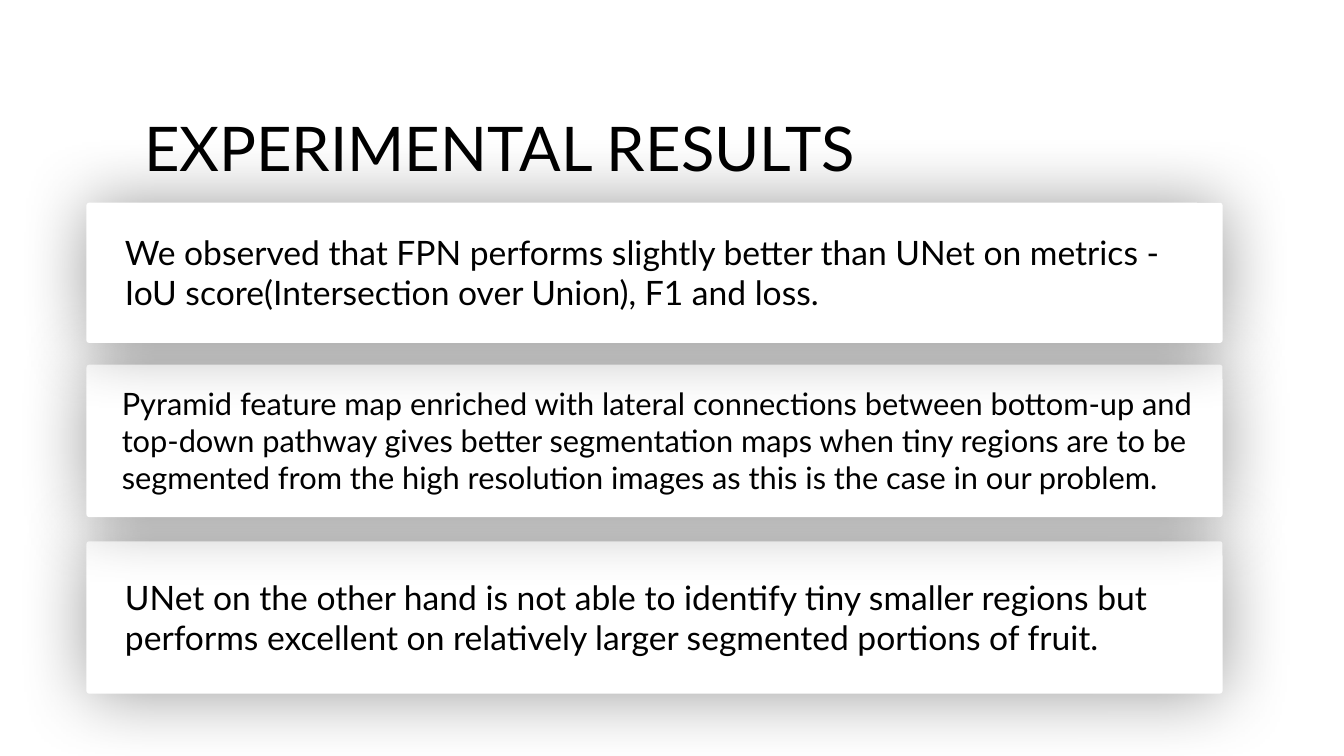
from dataclasses import dataclass

import pptx
import pptx.dml.color
import pptx.enum.shapes
import pptx.enum.text
import pptx.oxml
import pptx.oxml.ns
import pptx.slide
import pptx.util
from pptx.util import Cm

BLACK = pptx.dml.color.RGBColor(0x00, 0x00, 0x00)
WHITE = pptx.dml.color.RGBColor(0xFF, 0xFF, 0xFF)
FONT = "Lato"
CARD_LEFT = 2.18
CARD_WIDTH = 28.63
CARD_ROUNDING = 0.018
GLOW_BLUR = pptx.util.Pt(51)
GLOW_OPACITY = 40


@dataclass(frozen=True)
class Finding:
    text: str
    card_top: float
    card_height: float
    text_left: float
    text_width: float
    text_height: float
    size: int

    @property
    def text_top(self) -> float:
        return self.card_top + (self.card_height - self.text_height) / 2


FINDINGS = [
    Finding(
        "We observed that FPN performs slightly better than UNet on metrics - "
        "IoU score(Intersection over Union), F1 and loss.",
        5.11, 3.53, 2.9, 27.03, 2.31, 24,
    ),
    Finding(
        "Pyramid feature map enriched with lateral connections between bottom-up and "
        "top-down pathway gives better segmentation maps when tiny regions are to be "
        "segmented from the high resolution images as this is the case in our problem.",
        9.19, 3.84, 2.82, 27.99, 3.07, 22,
    ),
    Finding(
        "UNet on the other hand is not able to identify tiny smaller regions but "
        "performs excellent on relatively larger segmented portions of fruit.",
        13.64, 3.84, 2.9, 27.99, 2.31, 24,
    ),
]


def add_card(slide: pptx.slide.Slide, finding: Finding) -> None:
    card = slide.shapes.add_shape(
        pptx.enum.shapes.MSO_SHAPE.ROUNDED_RECTANGLE,
        Cm(CARD_LEFT), Cm(finding.card_top), Cm(CARD_WIDTH), Cm(finding.card_height),
    )
    card.adjustments[0] = CARD_ROUNDING
    card.fill.solid()
    card.fill.fore_color.rgb = WHITE
    card.line.fill.background()
    card.shadow.inherit = False
    effects = card.element.spPr.find(pptx.oxml.ns.qn("a:effectLst"))
    effects.append(pptx.oxml.parse_xml(
        f'<a:outerShdw {pptx.oxml.ns.nsdecls("a")} blurRad="{GLOW_BLUR}" dist="0" dir="0" '
        f'algn="ctr" rotWithShape="0"><a:srgbClr val="{BLACK}">'
        f'<a:alpha val="{GLOW_OPACITY * 1000}"/></a:srgbClr></a:outerShdw>'
    ))


def add_text(slide: pptx.slide.Slide, text: str, left: float, top: float,
             width: float, height: float, size: int) -> None:
    frame = slide.shapes.add_textbox(Cm(left), Cm(top), Cm(width), Cm(height)).text_frame
    frame.word_wrap = True
    frame.auto_size = pptx.enum.text.MSO_AUTO_SIZE.SHAPE_TO_FIT_TEXT
    frame.text = text
    font = frame.paragraphs[0].runs[0].font
    font.name = FONT
    font.size = pptx.util.Pt(size)
    font.color.rgb = BLACK


def main() -> None:
    presentation = pptx.Presentation()
    presentation.slide_width = Cm(33.87)
    presentation.slide_height = Cm(19.05)
    slide = presentation.slides.add_slide(presentation.slide_layouts[6])
    slide.background.fill.solid()
    slide.background.fill.fore_color.rgb = WHITE

    for finding in reversed(FINDINGS):
        add_card(slide, finding)
    add_text(slide, "EXPERIMENTAL RESULTS", 3.38, 2.64, 19.53, 2.13, 44)
    for finding in FINDINGS:
        add_text(slide, finding.text, finding.text_left, finding.text_top,
                 finding.text_width, finding.text_height, finding.size)

    presentation.save("out.pptx")


if __name__ == "__main__":
    main()
